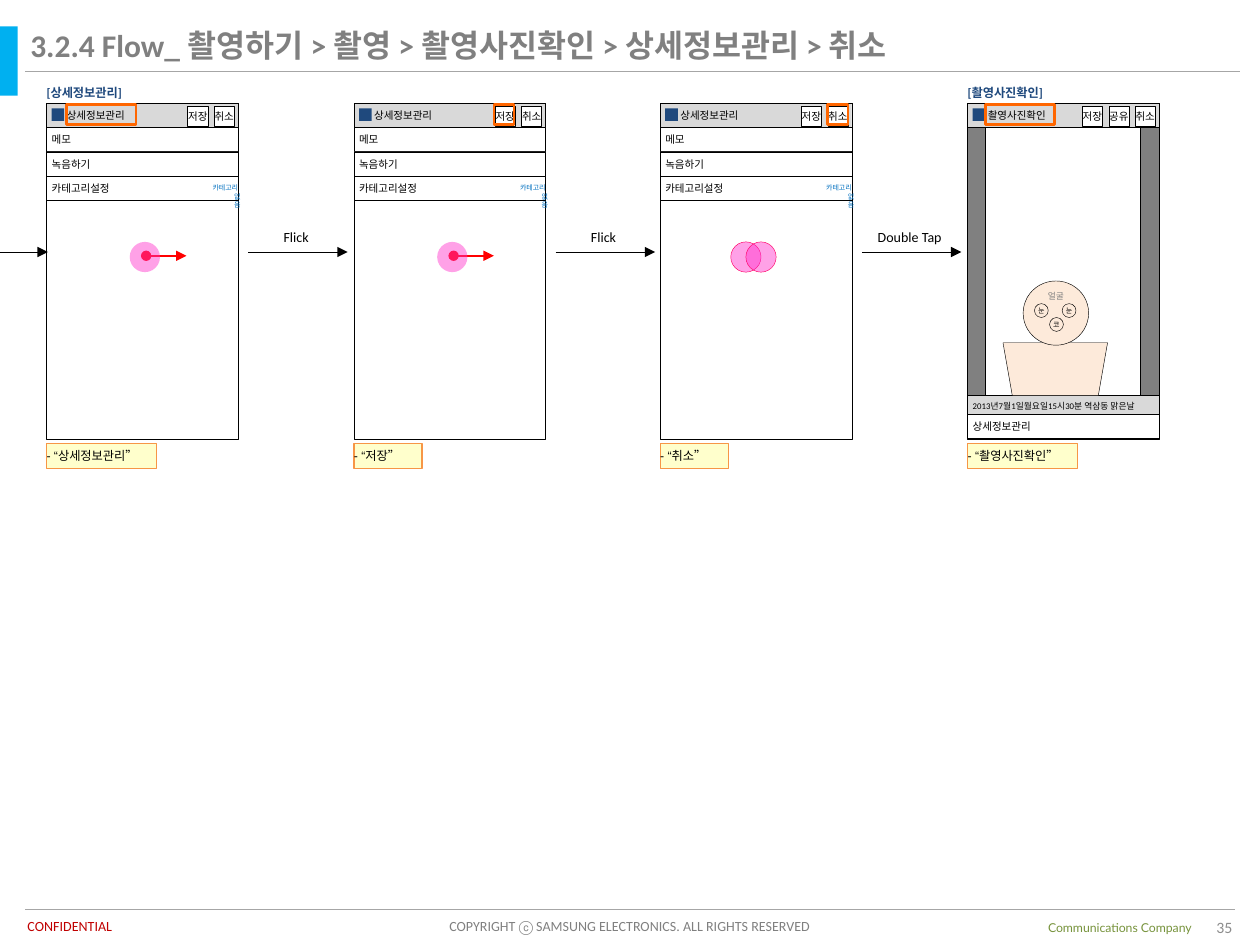
from dataclasses import dataclass
from typing import Optional

from lxml import etree
from pptx import Presentation
from pptx.dml.color import RGBColor
from pptx.enum import shapes, text
from pptx.oxml import ns
from pptx.util import Inches, Pt

BLACK = RGBColor(0x00, 0x00, 0x00)
WHITE = RGBColor(0xFF, 0xFF, 0xFF)
GRAY = RGBColor(0x80, 0x80, 0x80)
NUMBER_GRAY = RGBColor(0x8C, 0x8C, 0x8C)
RULE_GRAY = RGBColor(0xA6, 0xA6, 0xA6)
BAR_GRAY = RGBColor(0xD9, 0xD9, 0xD9)
NAVY = RGBColor(0x1F, 0x49, 0x7D)
BLUE = RGBColor(0x00, 0x70, 0xC0)
CYAN = RGBColor(0x00, 0xB0, 0xF0)
DARK_RED = RGBColor(0xC0, 0x00, 0x00)
RED = RGBColor(0xFF, 0x00, 0x00)
GREEN = RGBColor(0x77, 0x93, 0x3C)
ORANGE = RGBColor(0xFF, 0x66, 0x00)
NOTE_LINE = RGBColor(0xF7, 0x96, 0x46)
NOTE_FILL = RGBColor(0xFF, 0xFF, 0xCC)
PINK = RGBColor(0xFF, 0x33, 0xCC)
PINK_LINE = RGBColor(0xFF, 0x00, 0x66)
SKIN = RGBColor(0xFD, 0xEA, 0xDA)

RECTANGLE = shapes.MSO_SHAPE.RECTANGLE
OVAL = shapes.MSO_SHAPE.OVAL
TRAPEZOID = shapes.MSO_SHAPE.TRAPEZOID
TOP, MIDDLE, BOTTOM = (text.MSO_ANCHOR.TOP, text.MSO_ANCHOR.MIDDLE, text.MSO_ANCHOR.BOTTOM)
LEFT, CENTER, RIGHT = text.PP_ALIGN.LEFT, text.PP_ALIGN.CENTER, text.PP_ALIGN.RIGHT

BOX_INSETS = (0.1, 0.05, 0.1, 0.05)
SIDE_INSETS = (0.04, 0, 0.04, 0)
NO_INSETS = (0, 0, 0, 0)
SCREEN_TOP, SCREEN_WIDTH, SCREEN_HEIGHT = 0.82, 1.52, 2.67
ROW_HEIGHT = 0.19
ARROW_Y = 2


@dataclass
class Style:
    size: float
    color: RGBColor = BLACK
    font: str = "Calibri"
    bold: bool = False
    align: text.PP_ALIGN = LEFT
    anchor: text.MSO_ANCHOR = MIDDLE
    insets: tuple = SIDE_INSETS
    wrap: bool = False
    grow: bool = False
    hanging: float = 0


@dataclass
class Screen:
    left: float
    note: str
    note_width: float
    highlight: tuple  # offset from the screen's left side, width
    next_gesture: Optional[str] = None
    caption: Optional[str] = None


ROW = Style(6)
HEADER = Style(6, insets=(0.16, 0, 0, 0))
BUTTON = Style(6, align=CENTER)
CAPTION = Style(7, NAVY, bold=True, anchor=TOP, insets=NO_INSETS, grow=True, hanging=0.25)
CATEGORY = Style(4, BLUE, align=RIGHT, anchor=TOP, insets=NO_INSETS, grow=True, hanging=0.25)
NOTE = Style(7, font="Arial", anchor=TOP, insets=(0, 0.04, 0, 0.04), wrap=True, grow=True)
GESTURE = Style(8, align=CENTER, anchor=BOTTOM, insets=BOX_INSETS, grow=True)

SCREENS = [
    Screen(0.37, "- “상세정보관리”", 0.87, (0.16, 0.55), "Flick", "[상세정보관리]"),
    Screen(2.81, "- “저장”", 0.54, (1.11, 0.16), "Flick"),
    Screen(5.24, "- “취소”", 0.54, (1.33, 0.16), "Double Tap"),
    Screen(7.68, "- “촬영사진확인”", 0.87, (0.14, 0.55), caption="[촬영사진확인]"),
]


def write(shape, words: str, style: Style) -> None:
    frame = shape.text_frame
    frame.text = words
    frame.word_wrap = style.wrap
    frame.auto_size = (text.MSO_AUTO_SIZE.SHAPE_TO_FIT_TEXT if style.grow
                       else text.MSO_AUTO_SIZE.NONE)
    frame.vertical_anchor = style.anchor
    (frame.margin_left, frame.margin_top,
     frame.margin_right, frame.margin_bottom) = map(Inches, style.insets)
    paragraph = frame.paragraphs[0]
    paragraph.alignment = style.align
    if style.hanging:
        properties = paragraph._p.get_or_add_pPr()
        properties.set("marL", str(Inches(style.hanging)))
        properties.set("indent", str(-Inches(style.hanging)))
    font = paragraph.font
    font.name, font.size, font.bold = style.font, Pt(style.size), style.bold
    font.color.rgb = style.color


def add_label(slide, box: tuple, words: str, style: Style) -> None:
    write(slide.shapes.add_textbox(*map(Inches, box)), words, style)


def add_box(slide, box: tuple, fill=None, line=BLACK, width: float = 0.25,
            words: str = "", style: Style = ROW, kind=RECTANGLE):
    shape = slide.shapes.add_shape(kind, *map(Inches, box))
    shape.shadow.inherit = False
    if fill is None:
        shape.fill.background()
    else:
        shape.fill.solid()
        shape.fill.fore_color.rgb = fill
    if line is None:
        shape.line.fill.background()
    else:
        shape.line.color.rgb = line
        shape.line.width = Pt(width)
    if words:
        write(shape, words, style)
    return shape


def add_line(slide, start: float, end: float, y: float, color=BLACK,
             width: float = 0.25, head: str = "", tail: str = "") -> None:
    """Draw a horizontal line with optional end marks."""
    line = slide.shapes.add_connector(
        shapes.MSO_CONNECTOR.STRAIGHT, Inches(start), Inches(y), Inches(end), Inches(y))
    line.line.color.rgb = color
    line.line.width = Pt(width)
    outline = line.line._get_or_add_ln()
    for tag, mark in (("a:headEnd", head), ("a:tailEnd", tail)):
        if mark:
            etree.SubElement(outline, ns.qn(tag), type=mark)
    etree.SubElement(line._element.spPr, ns.qn("a:effectLst"))


def add_touch(slide, left: float, line=None) -> None:
    """Draw a translucent finger contact."""
    touch = add_box(slide, (left, 1.92, 0.24, 0.24), PINK, line, kind=OVAL)
    color = touch.fill._xPr.find(ns.qn("a:solidFill"))[0]
    etree.SubElement(color, ns.qn("a:alpha"), val="46000")


def add_header(slide, left: float, title: str, buttons: list[str]) -> None:
    """Draw the screen outline and its title bar; buttons run from the right."""
    add_box(slide, (left, SCREEN_TOP, SCREEN_WIDTH, SCREEN_HEIGHT))
    add_box(slide, (left, SCREEN_TOP, SCREEN_WIDTH, ROW_HEIGHT), BAR_GRAY,
            words=title, style=HEADER)
    add_box(slide, (left + 0.04, 0.86, 0.1, 0.1), NAVY, None)
    for index, name in enumerate(buttons):
        add_box(slide, (left + 1.33 - 0.21 * index, 0.84, 0.16, 0.16), WHITE,
                words=name, style=BUTTON)


def add_detail_screen(slide, left: float) -> None:
    add_header(slide, left, "상세정보관리", ["취소", "저장"])
    for index, name in enumerate(["메모", "녹음하기", "카테고리설정"]):
        add_box(slide, (left, 1.01 + 0.195 * index, SCREEN_WIDTH, ROW_HEIGHT), WHITE, words=name)
    add_label(slide, (left + 1.29, 1.46, 0.23, 0.04), "카테고리 없음", CATEGORY)


def add_photo_screen(slide, left: float) -> None:
    add_header(slide, left, "촬영사진확인", ["취소", "공유", "저장"])
    add_box(slide, (left, 1.01, SCREEN_WIDTH, 2.14), GRAY)
    add_box(slide, (left + 0.14, 1.01, 1.23, 2.14), WHITE)
    add_box(slide, (left, 3.29, SCREEN_WIDTH, ROW_HEIGHT), WHITE, words="상세정보관리")
    add_box(slide, (left, 3.14, SCREEN_WIDTH, 0.15), BAR_GRAY,
            words="2013년7월1일월요일15시30분 역삼동 맑은날",
            style=Style(5, anchor=TOP, insets=(0.04, 0.04, 0.04, 0.04)))
    body = add_box(slide, (left + 0.28, 2.72, 0.83, 0.42), SKIN, kind=TRAPEZOID)
    body.adjustments[0] = 0.176
    body.rotation = 180
    add_box(slide, (left + 0.44, 2.23, 0.52, 0.51), SKIN, words="얼굴",
            style=Style(5, GRAY, align=CENTER, anchor=TOP), kind=OVAL)
    for offset, top, name in ((0.53, 2.41, "눈"), (0.75, 2.41, "눈"), (0.65, 2.52, "코")):
        add_box(slide, (left + offset, top, 0.11, 0.11), SKIN, words=name,
                style=Style(4, align=CENTER), kind=OVAL)


def add_gesture(slide, left: float, gesture: str) -> None:
    """Draw the touch on a screen and the arrow to the next screen."""
    if gesture == "Flick":
        add_line(slide, left + 0.79, left + 1.11, 2.03, RED, 1, "oval", "triangle")
        add_touch(slide, left + 0.66)
    else:
        for offset in (0.56, 0.68):
            add_touch(slide, left + offset, PINK_LINE)
    add_line(slide, left + 1.6, left + 2.39, ARROW_Y, tail="triangle")
    add_label(slide, (left + 1.62, 1.76, 0.72, 0.24), gesture, GESTURE)


def add_frame(slide) -> None:
    """Draw the title, the rules and the footer."""
    add_line(slide, 0.2, 9.8, 7.22, RULE_GRAY, 0.75)
    add_line(slide, 0.2, 9.84, 0.57, RULE_GRAY, 0.75)
    add_box(slide, (0, 0.21, 0.14, 0.55), CYAN, None)
    title = slide.shapes.title
    title.left, title.top, title.width, title.height = map(Inches, (0.14, 0.16, 9.66, 0.37))
    write(title, "3.2.4 Flow_ 촬영하기 > 촬영 > 촬영사진확인 > 상세정보관리 > 취소",
          Style(18, GRAY, bold=True, anchor=TOP, insets=BOX_INSETS, wrap=True))
    add_label(slide, (0.12, 7.23, 0.9, 0.24), "CONFIDENTIAL",
              Style(8, DARK_RED, anchor=TOP, insets=BOX_INSETS, grow=True))
    add_label(slide, (2.4, 7.23, 5.2, 0.24),
              "COPYRIGHT ⓒ SAMSUNG ELECTRONICS. ALL RIGHTS RESERVED",
              Style(8, GRAY, align=CENTER, anchor=TOP, insets=BOX_INSETS, wrap=True, grow=True))
    add_label(slide, (8.22, 7.25, 1.46, 0.22), "Communications Company",
              Style(7, GREEN, "Lato", insets=BOX_INSETS, grow=True))
    add_label(slide, (9.17, 7.26, 0.71, 0.19), "35",
              Style(9, NUMBER_GRAY, align=RIGHT, insets=BOX_INSETS, wrap=True))


def main() -> None:
    presentation = Presentation()
    presentation.slide_width, presentation.slide_height = Inches(10), Inches(7.5)
    slide = presentation.slides.add_slide(presentation.slide_layouts[5])
    add_frame(slide)
    add_line(slide, 0, 0.38, ARROW_Y, tail="triangle")
    for screen in SCREENS:
        left = screen.left
        if screen.next_gesture:
            add_detail_screen(slide, left)
            add_gesture(slide, left, screen.next_gesture)
        else:
            add_photo_screen(slide, left)
        if screen.caption:
            add_label(slide, (left, 0.68, 0.65, 0.12), screen.caption, CAPTION)
        offset, width = screen.highlight
        add_box(slide, (left + offset, 0.83, width, 0.16), None, ORANGE, 1.5)
        add_box(slide, (left, 3.52, screen.note_width, 0.2), NOTE_FILL, NOTE_LINE, 0.75,
                screen.note, NOTE)
    presentation.save("out.pptx")


if __name__ == "__main__":
    main()
